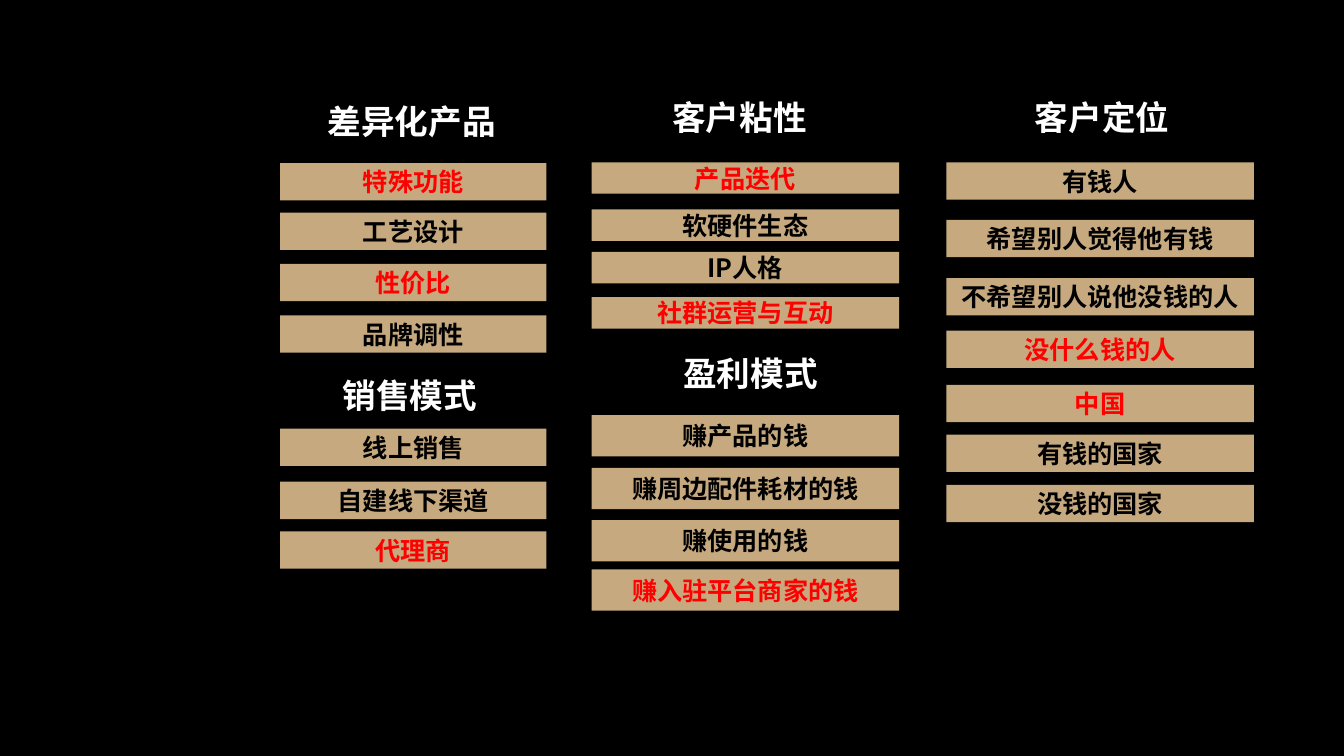
from dataclasses import dataclass

from lxml import etree
from pptx import Presentation
from pptx.dml.color import RGBColor
from pptx.enum.shapes import MSO_SHAPE
from pptx.enum.text import MSO_ANCHOR, PP_ALIGN
from pptx.oxml.ns import qn
from pptx.util import Cm, Pt

RECT = MSO_SHAPE.RECTANGLE
MIDDLE, TOP = MSO_ANCHOR.MIDDLE, MSO_ANCHOR.TOP
CENTER = PP_ALIGN.CENTER


@dataclass(frozen=True)
class Theme:
    font: str = "Noto Sans CJK SC"
    back: RGBColor = RGBColor(0, 0, 0)
    bar: RGBColor = RGBColor(0xC6, 0xA9, 0x7E)
    head: RGBColor = RGBColor(255, 255, 255)
    plain: RGBColor = RGBColor(0, 0, 0)
    hot: RGBColor = RGBColor(255, 0, 0)
    head_size: Pt = Pt(24)
    bar_size: Pt = Pt(18)


theme = Theme()


def write(shape, text, size, color, anchor):
    frame = shape.text_frame
    frame.word_wrap = True
    frame.vertical_anchor = anchor
    frame.text = text
    para = frame.paragraphs[0]
    para.alignment = CENTER
    run = para.runs[0]
    run.font.name = theme.font
    run.font.size = size
    run.font.bold = True
    run.font.color.rgb = color
    # East Asian typeface
    east = etree.SubElement(run.font._element, qn("a:ea"))
    east.set("typeface", theme.font)
    return para


# Slide
deck = Presentation()
deck.slide_width, deck.slide_height = Cm(33.87), Cm(19.05)
slide = deck.slides.add_slide(deck.slide_layouts[6])
slide.background.fill.solid()
slide.background.fill.fore_color.rgb = theme.back

# Groups: heading, heading box, bar (left, width, height), bars (top, text, hot)
groups = [
    ("差异化产品", (5.84, 2.54, 9.07, 7.65), (7.06, 6.71, 0.94), [
        (4.11, "特殊功能", True),
        (5.36, "工艺设计", False),
        (6.65, "性价比", True),
        (7.95, "品牌调性", False),
    ]),
    ("销售模式", (5.79, 9.45, 9.07, 5.23), (7.06, 6.71, 0.94), [
        (10.8, "线上销售", False),
        (12.14, "自建线下渠道", False),
        (13.39, "代理商", True),
    ]),
    ("客户粘性", (14.1, 2.44, 9.07, 5.84), (14.91, 7.75, 0.79), [
        (4.09, "产品迭代", True),
        (5.28, "软硬件生态", False),
        (6.35, "IP人格", False),
        (7.49, "社群运营与互动", True),
    ]),
    ("盈利模式", (12.4, 8.89, 13.03, 4.52), (14.91, 7.75, 1.04), [
        (10.46, "赚产品的钱", False),
        (11.79, "赚周边配件耗材的钱", False),
        (13.11, "赚使用的钱", False),
        (14.35, "赚入驻平台商家的钱", True),
    ]),
    ("客户定位", (23.24, 2.44, 9.07, 11.81), (23.85, 7.75, 0.94), [
        (4.09, "有钱人", False),
        (5.54, "希望别人觉得他有钱", False),
        (7.01, "不希望别人说他没钱的人", False),
        (8.33, "没什么钱的人", True),
        (9.7, "中国", True),
        (10.95, "有钱的国家", False),
        (12.22, "没钱的国家", False),
    ]),
]

for title, area, (left, width, height), bars in groups:
    # Heading
    box = slide.shapes.add_textbox(*map(Cm, area))
    para = write(box, title, theme.head_size, theme.head, TOP)
    para.line_spacing = 0.9

    # Bars
    for top, label, hot in bars:
        bar = slide.shapes.add_shape(RECT, *map(Cm, (left, top, width, height)))
        bar.shadow.inherit = False
        bar.fill.solid()
        bar.fill.fore_color.rgb = theme.bar
        bar.line.fill.background()
        color = theme.hot if hot else theme.plain
        write(bar, label, theme.bar_size, color, MIDDLE)

deck.save("out.pptx")
